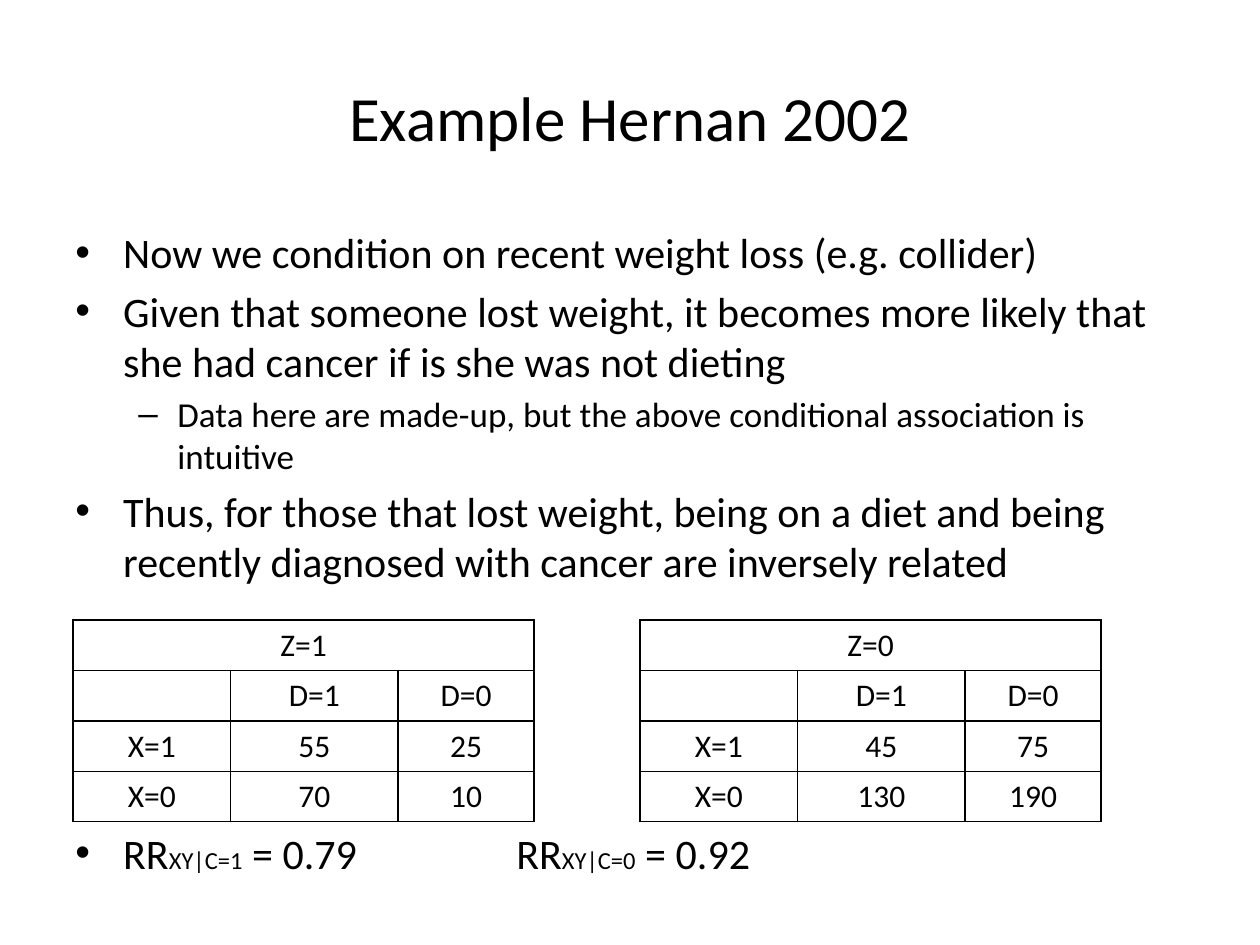
from dataclasses import dataclass

from lxml import etree
from pptx import Presentation
from pptx.dml.color import RGBColor
from pptx.enum import text
from pptx.oxml import ns
from pptx.util import Inches, Pt


@dataclass(frozen=True)
class Theme:
    font: str = "Calibri"
    ink: RGBColor = RGBColor(0, 0, 0)
    title: int = 36
    body: int = 24
    detail: int = 20
    cell: int = 18
    subscript: int = 14


THEME = Theme()

# Level: (bullet, left margin, hanging indent, text size, space before)
LEVELS = [
    ("•", Inches(0.38), Inches(0.38), THEME.body, 4.6),
    ("–", Inches(0.81), Inches(0.31), THEME.detail, 4),
]
POINTS = [
    (0, "Now we condition on recent weight loss (e.g. collider)"),
    (0, "Given that someone lost weight, it becomes more likely that "
        "she had cancer if is she was not dieting"),
    (1, "Data here are made-up, but the above conditional association is intuitive"),
    (0, "Thus, for those that lost weight, being on a diet and being "
        "recently diagnosed with cancer are inversely related"),
]
RISK_RATIOS = [
    ("RR", THEME.body), ("XY|C=1", THEME.subscript), (" = 0.79\t\t\tRR", THEME.body),
    ("XY|C=0", THEME.subscript), (" = 0.92", THEME.body),
]
TABLE_GAP = Pt(138)  # room for the tables above the risk ratios
STRATA = [
    ("Z=1", [("55", "25"), ("70", "10")]),
    ("Z=0", [("45", "75"), ("130", "190")]),
]
COLUMNS = [Inches(1.25), Inches(1.33), Inches(1.08)]


def style_span(span, size):
    span.font.name = THEME.font
    span.font.size = Pt(size)
    span.font.color.rgb = THEME.ink


def style_para(para, size, align):
    para.alignment = align
    for span in para.runs:
        style_span(span, size)


def add_frame(page, box):
    frame = page.shapes.add_textbox(*box).text_frame
    frame.word_wrap = True
    return frame


def set_bullet(para, level):
    bullet, margin, hanging, _, space = LEVELS[level]
    para.level = level
    para.space_before = Pt(space)
    props = para._p.get_or_add_pPr()
    props.set("marL", str(margin))
    props.set("indent", str(-hanging))
    etree.SubElement(props, ns.qn("a:buFont"), typeface="Arial")
    etree.SubElement(props, ns.qn("a:buChar"), char=bullet)


def add_title(page, box):
    frame = add_frame(page, box)
    frame.vertical_anchor = text.MSO_ANCHOR.MIDDLE
    frame.text = "Example Hernan 2002"
    style_para(frame.paragraphs[0], THEME.title, text.PP_ALIGN.CENTER)


def add_body(page, box):
    frame = add_frame(page, box)
    frame.text = "\n".join(words for _, words in POINTS)
    for para, (level, _) in zip(frame.paragraphs, POINTS):
        set_bullet(para, level)
        style_para(para, LEVELS[level][3], text.PP_ALIGN.LEFT)

    # Risk ratios below the tables
    para = frame.add_paragraph()
    set_bullet(para, 0)
    para.space_before = TABLE_GAP
    for words, size in RISK_RATIOS:
        span = para.add_run()
        span.text = words
        style_span(span, size)


def set_borders(cell):
    props = cell._tc.get_or_add_tcPr()
    for index, side in enumerate(("a:lnL", "a:lnR", "a:lnT", "a:lnB")):
        line = etree.Element(ns.qn(side), w=str(Pt(1)))
        fill = etree.SubElement(line, ns.qn("a:solidFill"))
        etree.SubElement(fill, ns.qn("a:srgbClr"), val=str(THEME.ink))
        props.insert(index, line)


def add_stratum(page, box, name, counts):
    rows = [(name, "", ""), ("", "D=1", "D=0"),
            ("X=1", *counts[0]), ("X=0", *counts[1])]
    table = page.shapes.add_table(len(rows), len(COLUMNS), *box).table
    table.first_row = table.horz_banding = False
    for column, width in zip(table.columns, COLUMNS):
        column.width = width
    for r, row in enumerate(rows):
        for c, words in enumerate(row):
            cell = table.cell(r, c)
            cell.text = words
            cell.fill.background()
            set_borders(cell)
            para = cell.text_frame.paragraphs[0]
            para.font.size = Pt(THEME.cell)
            style_para(para, THEME.cell, text.PP_ALIGN.CENTER)
    table.cell(0, 0).merge(table.cell(0, len(COLUMNS) - 1))


def main():
    deck = Presentation()
    deck.slide_width, deck.slide_height = Inches(10), Inches(7.5)
    page = deck.slides.add_slide(deck.slide_layouts[6])
    add_title(page, (Inches(0.5), Inches(0.3), Inches(9), Inches(1.25)))
    add_body(page, (Inches(0.5), Inches(1.75), Inches(9), Inches(5.42)))
    for index, (name, counts) in enumerate(STRATA):
        left = Inches(0.58 + 4.5 * index)
        add_stratum(page, (left, Inches(4.92), sum(COLUMNS), Inches(1.6)), name, counts)
    deck.save("out.pptx")


if __name__ == "__main__":
    main()
